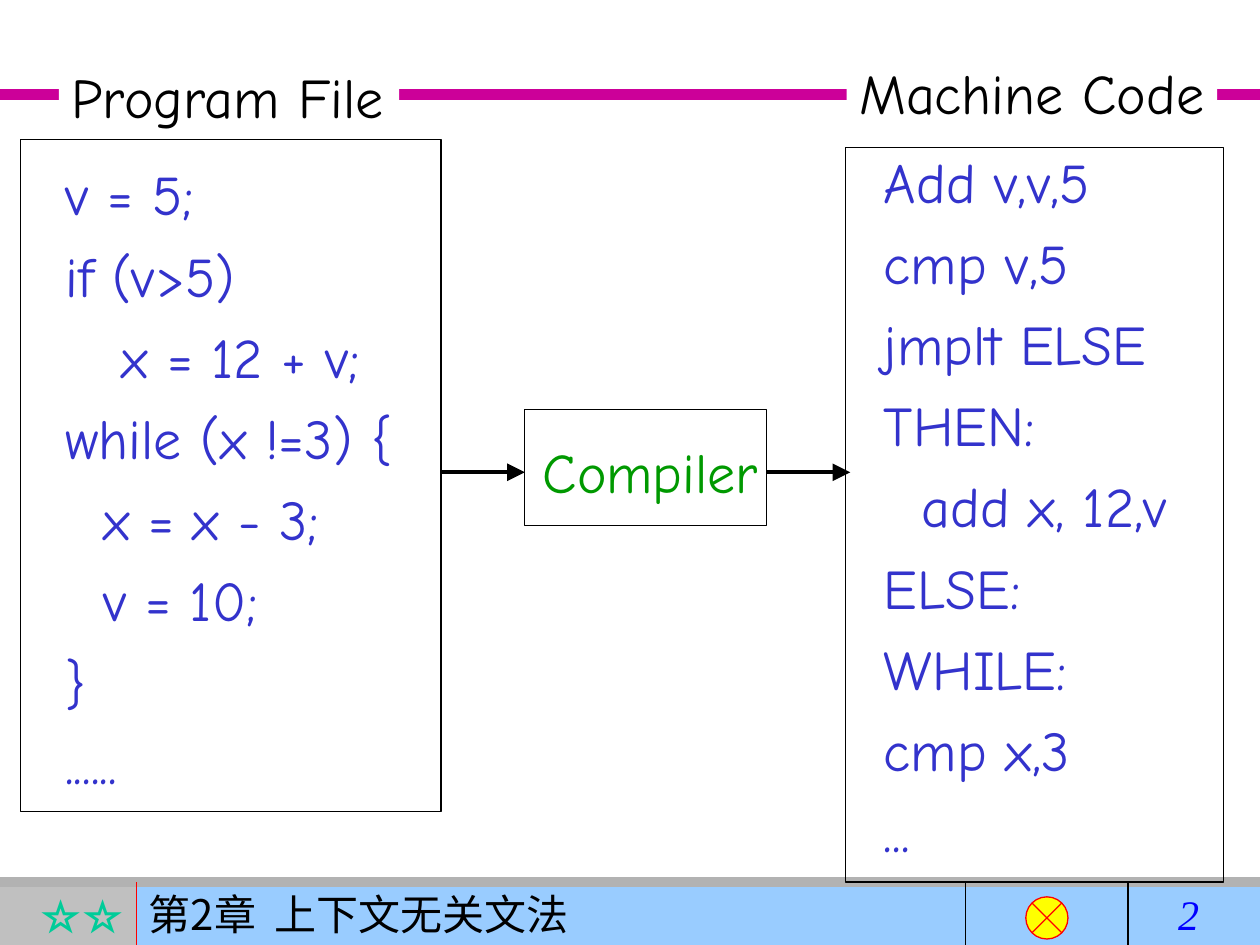
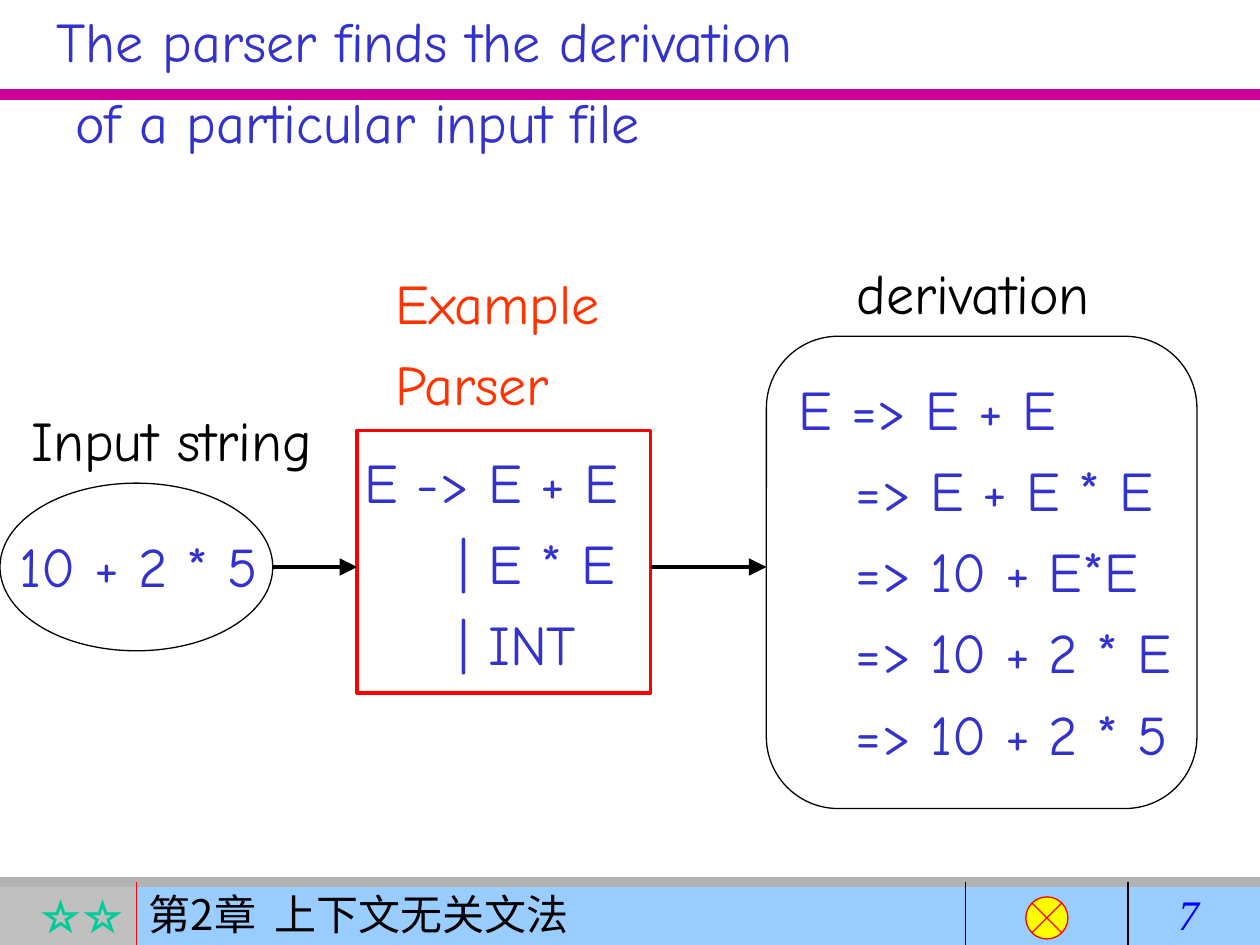
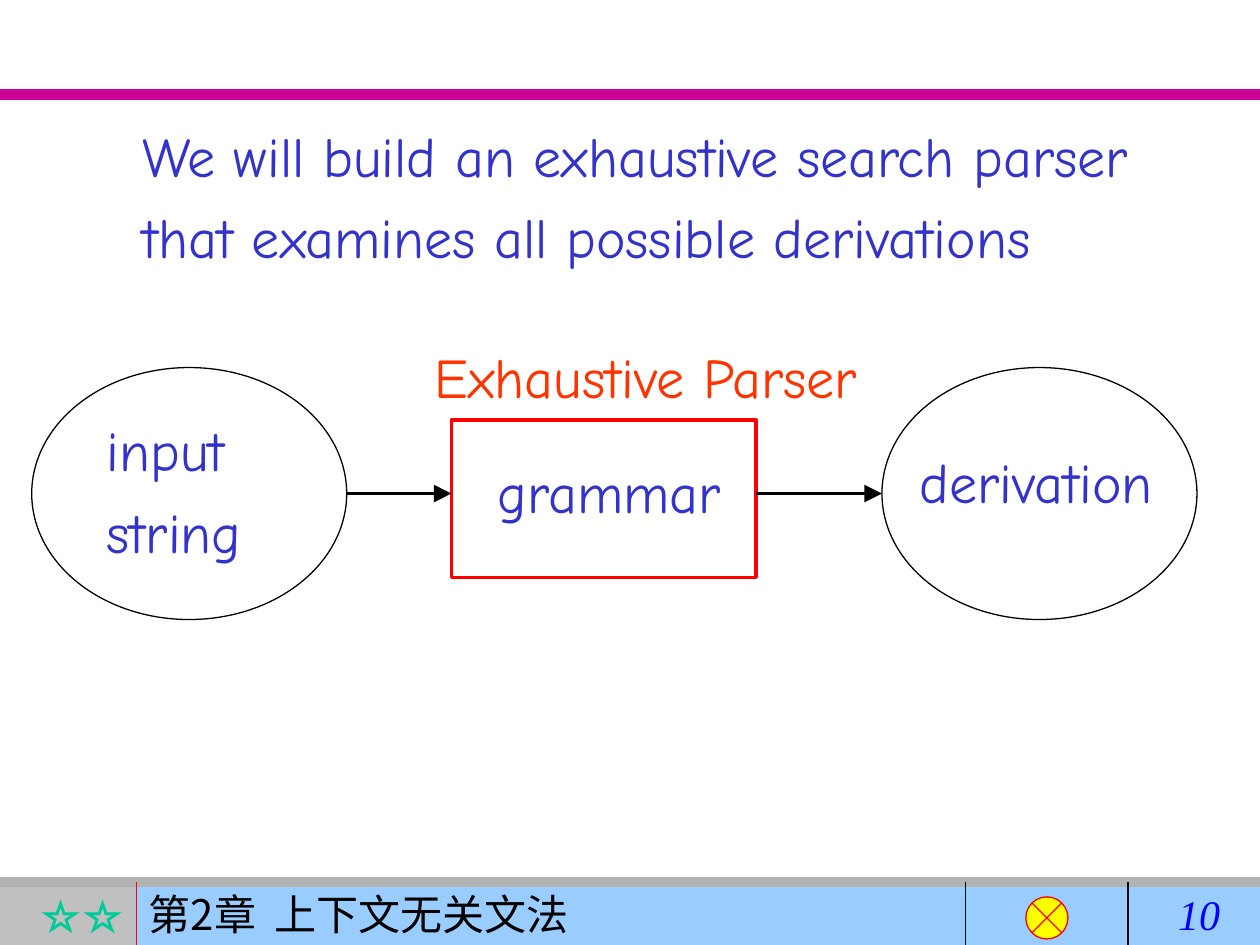
from lxml import etree
from pptx import Presentation
from pptx.dml.color import RGBColor
from pptx.enum.shapes import MSO_CONNECTOR, MSO_SHAPE
from pptx.enum.text import MSO_ANCHOR, MSO_AUTO_SIZE, PP_ALIGN
from pptx.oxml.ns import qn
from pptx.util import Cm, Pt

RECT = MSO_SHAPE.RECTANGLE
ROUNDED = MSO_SHAPE.ROUNDED_RECTANGLE
OVAL = MSO_SHAPE.OVAL
JUNCTION = MSO_SHAPE.FLOWCHART_SUMMING_JUNCTION
STRAIGHT = MSO_CONNECTOR.STRAIGHT
TOP = MSO_ANCHOR.TOP
FIT = MSO_AUTO_SIZE.SHAPE_TO_FIT_TEXT
FIXED = MSO_AUTO_SIZE.NONE
LEFT, RIGHT = PP_ALIGN.LEFT, PP_ALIGN.RIGHT

COLORS = {
    "black": "000000", "white": "FFFFFF", "code": "3333CC",
    "compiler": "009900", "parser": "FF3300", "red": "FF0000",
    "title_rule": "CC0099", "footer_rule": "B2B2B2",
    "badge": "C0C0C0", "footer": "99CCFF", "stars": "00CC99",
    "junction": "FFFF00", "page": "0000FF",
}
HAND, CJK, SERIF = "Comic Neue", "Noto Sans CJK SC", "Times New Roman"
WIDTH, HEIGHT = 25.4, 19.05
TITLE_RULE_Y = 1.91
FOOTER_Y, FOOTER_H = 17.78, 1.27
BADGE_W = 2.75
HAIRLINE, BOLD_LINE, RULE = 0.75, 2, 6
SPACE_W = 0.38


def rgb(color):
    return RGBColor.from_string(COLORS[color])


def add_line(slide, x1, y1, x2, y2, color="black", weight=HAIRLINE):
    line = slide.shapes.add_connector(STRAIGHT, Cm(x1), Cm(y1), Cm(x2), Cm(y2))
    line.line.color.rgb = rgb(color)
    line.line.width = Pt(weight)
    etree.SubElement(line._element.spPr, qn("a:effectLst"))
    return line


def add_arrow(slide, x1, x2, y):
    arrow = add_line(slide, x1, y, x2, y, weight=BOLD_LINE)
    etree.SubElement(arrow.line._get_or_add_ln(), qn("a:tailEnd"),
                     type="triangle", w="lg", len="lg")


def add_outline(slide, kind, x, y, w, h, line="black", weight=HAIRLINE, fill=None):
    outline = slide.shapes.add_shape(kind, Cm(x), Cm(y), Cm(w), Cm(h))
    outline.shadow.inherit = False
    if fill:
        outline.fill.solid()
        outline.fill.fore_color.rgb = rgb(fill)
    else:
        outline.fill.background()
    if line:
        outline.line.color.rgb = rgb(line)
        outline.line.width = Pt(weight)
    else:
        outline.line.fill.background()
    return outline


def style_run(paragraph, font, size, color, bold=False, italic=False):
    for run in paragraph.runs:
        run.font.name = font
        run.font.size = Pt(size)
        run.font.color.rgb = rgb(color)
        run.font.bold = bold
        run.font.italic = italic
        etree.SubElement(run.font._element, qn("a:ea"), typeface=font)


def fill_footer(holder, text, font, color, align=LEFT, **style):
    frame = holder.text_frame
    frame.text = text
    frame.word_wrap = True
    frame.auto_size = FIXED
    frame.vertical_anchor = TOP
    frame.paragraphs[0].alignment = align
    style_run(frame.paragraphs[0], font, 24, color, **style)


def add_text(slide, x, y, w, h, lines, color="code", fill=None, wrap=False):
    box = slide.shapes.add_textbox(Cm(x), Cm(y), Cm(w), Cm(h))
    if fill:
        box.fill.solid()
        box.fill.fore_color.rgb = rgb(fill)
    frame = box.text_frame
    frame.word_wrap = wrap
    frame.auto_size = FIT
    for index, line in enumerate(lines):
        depth, text = line if isinstance(line, tuple) else (0, line)
        paragraph = frame.add_paragraph() if index else frame.paragraphs[0]
        paragraph.text = text
        paragraph.space_before = Pt(8)
        if depth:
            paragraph._p.get_or_add_pPr().set("marL", str(Cm(depth * SPACE_W)))
        style_run(paragraph, HAND, 32, color)


def new_slide(deck, page):
    slide = deck.slides.add_slide(deck.slide_layouts[6])
    add_line(slide, 0, TITLE_RULE_Y, WIDTH, TITLE_RULE_Y, "title_rule", RULE)
    badge = add_outline(slide, RECT, 0, FOOTER_Y, BADGE_W, FOOTER_H, None, fill="badge")
    fill_footer(badge, "☆☆", SERIF, "stars", RIGHT, bold=True)
    chapter = add_outline(slide, RECT, BADGE_W, FOOTER_Y, WIDTH - BADGE_W, FOOTER_H,
                          None, fill="footer")
    fill_footer(chapter, "第2章  上下文无关文法", CJK, "black")
    add_line(slide, 0, FOOTER_Y, WIDTH, FOOTER_Y, "footer_rule", RULE)
    for x, color in ((BADGE_W, "red"), (19.47, "black"), (22.74, "black")):
        add_line(slide, x, FOOTER_Y, x, HEIGHT, color)
    add_outline(slide, JUNCTION, 20.68, 18.08, 0.85, 0.85, "red", fill="junction")
    number = slide.shapes.add_textbox(Cm(23.5), Cm(FOOTER_Y), Cm(1.9), Cm(FOOTER_H))
    fill_footer(number, str(page), SERIF, "page", italic=True)
    return slide


def build_compiler(deck):
    slide = new_slide(deck, 2)
    add_outline(slide, RECT, 10.58, 8.26, 4.87, 2.33)
    add_text(slide, 10.69, 8.69, 4.85, 1.63, ["Compiler"], "compiler")
    add_outline(slide, RECT, 0.42, 2.82, 8.47, 13.54)
    add_outline(slide, RECT, 17.04, 2.97, 7.62, 14.81)
    add_text(slide, 1.19, 1.13, 6.86, 1.63, ["Program File"], "black", "white")
    add_text(slide, 1.07, 3.1, 7.4, 13.08, [
        "v = 5;", "if (v>5)", (3, "x = 12 + v;"), "while (x !=3) {",
        (2, "x = x - 3;"), (2, "v = 10;"), "}", "......"], wrap=True)
    add_text(slide, 17.57, 2.84, 6.81, 14.73, [
        "Add v,v,5", "cmp v,5", "jmplt ELSE", "THEN:", (2, "add x, 12,v"),
        "ELSE:", "WHILE:", "cmp x,3", "..."], wrap=True)
    add_text(slide, 17.07, 1.06, 7.47, 1.63, ["Machine Code"], "black", "white")
    add_arrow(slide, 8.89, 10.58, 9.52)
    add_arrow(slide, 15.45, 17.14, 9.52)


def build_derivation(deck):
    slide = new_slide(deck, 7)
    add_text(slide, 0.89, 0, 15.39, 3.25, [
        "The parser finds the derivation", (1, "of a particular input file")])
    add_text(slide, 0.15, 10.59, 5.31, 1.63, ["10 + 2 * 5"])
    add_outline(slide, RECT, 7.2, 8.68, 5.92, 5.29, "red", BOLD_LINE)
    add_text(slide, 7.72, 5.28, 5.03, 3.25, ["Example ", "Parser"], "parser")
    add_text(slide, 7.09, 8.89, 6.1, 4.9,
             ["E -> E + E", (5, "| E * E"), (5, "| INT")], wrap=True)
    add_outline(slide, OVAL, 0, 9.74, 5.5, 3.38)
    add_arrow(slide, 5.5, 7.2, 11.43)
    steps = ["E + E * E", "10 + E*E", "10 + 2 * E", "10 + 2 * 5"]
    add_text(slide, 15.85, 7.42, 8.3, 8.15,
             ["E => E + E"] + [(3, f"=> {step}") for step in steps], wrap=True)
    add_arrow(slide, 13.12, 15.45, 11.43)
    add_text(slide, 0.38, 8.05, 6.17, 1.63, ["Input string"], "black")
    add_text(slide, 17.02, 5.08, 5.23, 1.63, ["derivation"], "black")
    add_outline(slide, ROUNDED, 15.45, 6.78, 8.68, 9.52)


def build_exhaustive_parser(deck):
    slide = new_slide(deck, 10)
    add_outline(slide, RECT, 9.1, 8.47, 6.14, 3.17, "red", BOLD_LINE)
    add_text(slide, 9.78, 9.09, 5.03, 1.63, ["grammar"])
    add_text(slide, 8.51, 6.78, 9.09, 1.63, ["Exhaustive Parser"], "parser")
    for x in (0.64, 17.78):
        add_outline(slide, OVAL, x, 7.41, 6.35, 5.08)
    add_text(slide, 1.9, 8.26, 3.23, 3.25, ["input", "string"])
    add_text(slide, 18.29, 8.89, 5.23, 1.63, ["derivation"])
    add_arrow(slide, 6.99, 9.1, 9.95)
    add_arrow(slide, 15.24, 17.78, 9.95)
    add_text(slide, 2.62, 2.32, 20.52, 3.25, [
        "We will build an exhaustive search parser",
        "that examines all possible derivations"])


def main():
    deck = Presentation()
    deck.slide_width, deck.slide_height = Cm(WIDTH), Cm(HEIGHT)
    build_compiler(deck)
    build_derivation(deck)
    build_exhaustive_parser(deck)
    deck.save("out.pptx")


main()
